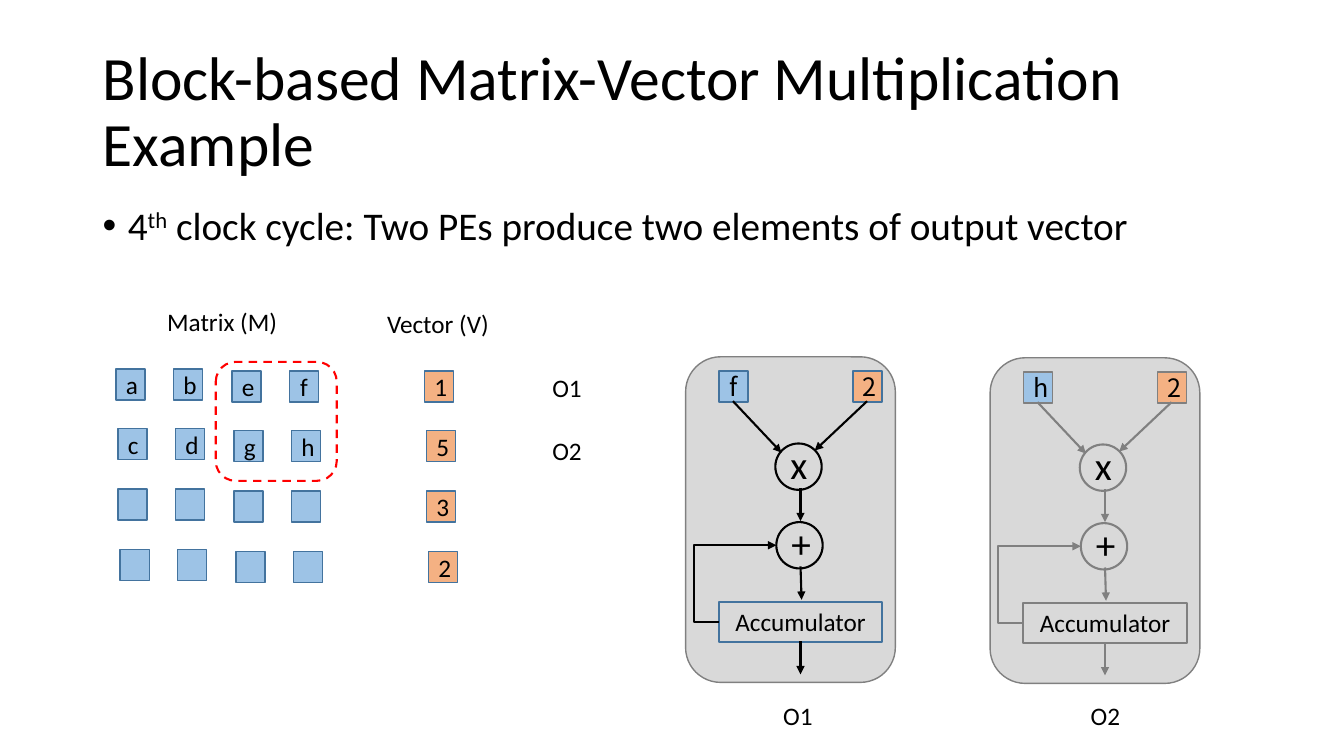
from lxml import etree
from pptx import Presentation
from pptx import util as u
from pptx.dml.color import RGBColor
from pptx.enum import dml, shapes, text
from pptx.oxml import ns

PX = 9144  # EMU per px, 100 px to the inch

TITLE = "Block-based Matrix-Vector Multiplication Example"
BULLET = [("4", False), ("th", True),
          (" clock cycle: Two PEs produce two elements of output vector", False)]
MATRIX = ["abef", "cdgh", "    ", "    "]
VECTOR = "1532"
LABELS = [  # text, left, top, width
    ("Matrix (M)", 156, 299, 130), ("Vector (V)", 374, 301, 122),
    ("O1", 767, 690, 50), ("O2", 1072, 690, 50),
    ("O1", 538, 364, 50), ("O2", 538, 427, 50),
]
ELEMENTS = [  # left, top, inputs, colours of the flow, inputs and accumulator
    (982, 355, "h2", "grey", "grey", "grey"),
    (680, 354, "f2", "black", "blue_line", "blue_line"),
]
OPERATORS = [("x", 89, 86), ("+", 90, 164)]
ARROWS = [(47, 44, 95, 95), (180, 44, 128, 93), (114, 130, 114, 163),
          (114, 208, 115, 241), (114, 282, 114, 315)]
FEEDBACK = (33, 263, 90, 187)

THEME = {
    "black": "000000", "grey": "808080", "panel": "D9D9D9", "red": "FF0000",
    "blue": "9DC3E6", "orange": "F4B183", "blue_line": "43739E",
    "font": "Calibri", "input_font": "Noto Sans CJK KR",
    "title": 44, "body": 28, "label": 18, "thin": 1, "thick": 1.5,
}
CELL = (29, 31)
KINDS = shapes.MSO_SHAPE


def scaled(*lengths):
    return [u.Emu(length * PX) for length in lengths]


def colour(name):
    return RGBColor.from_string(THEME[name])


def apply(target, **formats):
    for name, value in formats.items():
        setattr(target, name, value)


def add_span(para, words, size="label", font="font"):
    span = para.add_run()
    span.text = words
    apply(span.font, size=u.Pt(THEME[size]), name=THEME[font])
    span.font.color.rgb = colour("black")
    return span


def add_text(parent, area, words="", size="label", **frame_formats):
    box = parent.add_textbox(*scaled(*area))
    apply(box.text_frame, **{"word_wrap": True, **frame_formats})
    para = box.text_frame.paragraphs[0]
    if words:
        add_span(para, words, size)
    return para


def add_block(parent, kind, area, line, fill=None, weight="thin", words="", font="font"):
    block = parent.add_shape(kind, *scaled(*area))
    block.shadow.inherit = False
    if fill:
        block.fill.solid()
        block.fill.fore_color.rgb = colour(fill)
    else:
        block.fill.background()
    block.line.color.rgb = colour(line)
    block.line.width = u.Pt(THEME[weight])
    if words.strip():
        block.text_frame.vertical_anchor = text.MSO_ANCHOR.MIDDLE
        para = block.text_frame.paragraphs[0]
        para.alignment = text.PP_ALIGN.CENTER
        add_span(para, words, font=font)
    return block


def add_arrow(parent, kind, ends, line):
    arrow = parent.add_connector(kind, *scaled(*ends))
    arrow.line.color.rgb = colour(line)
    arrow.line.width = u.Pt(THEME["thick"])
    outline = arrow.line._get_or_add_ln()
    etree.SubElement(outline, ns.qn("a:tailEnd"), type="triangle")
    etree.SubElement(arrow._element.spPr, ns.qn("a:effectLst"))
    return arrow


def add_heading(page):
    title = add_text(page, (92, 40, 1150, 145), TITLE, "title",
                     vertical_anchor=text.MSO_ANCHOR.MIDDLE)
    body = add_text(page, (92, 200, 1150, 476))
    props = body._p.get_or_add_pPr()
    for name, inches in (("marL", 0.25), ("indent", -0.25)):
        props.set(name, str(int(u.Inches(inches))))
    etree.SubElement(props, ns.qn("a:buFont"), typeface="Arial")
    etree.SubElement(props, ns.qn("a:buChar"), char="•")
    for words, raised in BULLET:
        span = add_span(body, words, "body")
        if raised:
            span.font._element.set("baseline", "30000")
    for para in (title, body):
        para.line_spacing = 0.9


def add_operands(page):
    for row, letters in enumerate(MATRIX):
        shift = 2 * ((row + 1) // 2)
        top = 366 + 179 * row // 3
        for column, letter in enumerate(letters):
            left = 115 + 115 * column // 2 + shift
            drop = 2 * (column // 2)
            add_block(page, KINDS.RECTANGLE, (left, top + drop, *CELL),
                      "blue_line", "blue", words=letter)
        add_block(page, KINDS.RECTANGLE, (421 + shift, top + 2, *CELL),
                  "blue_line", "orange", words=VECTOR[row])


def add_element(page, left, top, inputs, flow, input_line, store_line):
    """Draw one processing element: inputs, multiplier, adder, accumulator."""
    group = page.add_group_shape().shapes

    def place(x, y, *rest):
        return (left + x, top + y, *rest)

    def span_ends(x1, y1, x2, y2):
        return place(x1, y1) + place(x2, y2)

    add_block(group, KINDS.ROUNDED_RECTANGLE, place(0, 0, 208, 323), "grey", "panel")
    for symbol, x, y in OPERATORS:
        add_block(group, KINDS.OVAL, place(x, y, 46, 46), flow, weight="thick")
        add_text(group, place(x + 5, y - 8, 36, 57), symbol, "body",
                 auto_size=text.MSO_AUTO_SIZE.SHAPE_TO_FIT_TEXT)
    for words, x, fill in zip(inputs, (33, 166), ("blue", "orange")):
        add_block(group, KINDS.RECTANGLE, place(x, 14, *CELL), input_line, fill,
                  words=words, font="input_font")
    add_block(group, KINDS.RECTANGLE, place(33, 243, 162, 40), store_line,
              weight="thick", words="Accumulator")
    for ends in ARROWS:
        add_arrow(group, shapes.MSO_CONNECTOR.STRAIGHT, span_ends(*ends), flow)
    loop = add_arrow(group, shapes.MSO_CONNECTOR.ELBOW, span_ends(*FEEDBACK), flow)
    guides = loop._element.spPr.find(ns.qn("a:prstGeom")).get_or_add_avLst()
    etree.SubElement(guides, ns.qn("a:gd"), name="adj1", fmla="val -43500")


def main():
    deck = Presentation()
    apply(deck, slide_width=u.Emu(1333 * PX), slide_height=u.Emu(750 * PX))
    page = deck.slides.add_slide(deck.slide_layouts[6]).shapes
    add_heading(page)
    add_operands(page)
    for element in ELEMENTS:
        add_element(page, *element)
    window = add_block(page, KINDS.ROUNDED_RECTANGLE, (214, 359, 120, 118), "red",
                       weight="thick")
    window.line.dash_style = dml.MSO_LINE.DASH
    for words, left, top, width in LABELS:
        add_text(page, (left, top, width, 40), words, word_wrap=False,
                 auto_size=text.MSO_AUTO_SIZE.SHAPE_TO_FIT_TEXT)
    deck.save("out.pptx")


if __name__ == "__main__":
    main()
